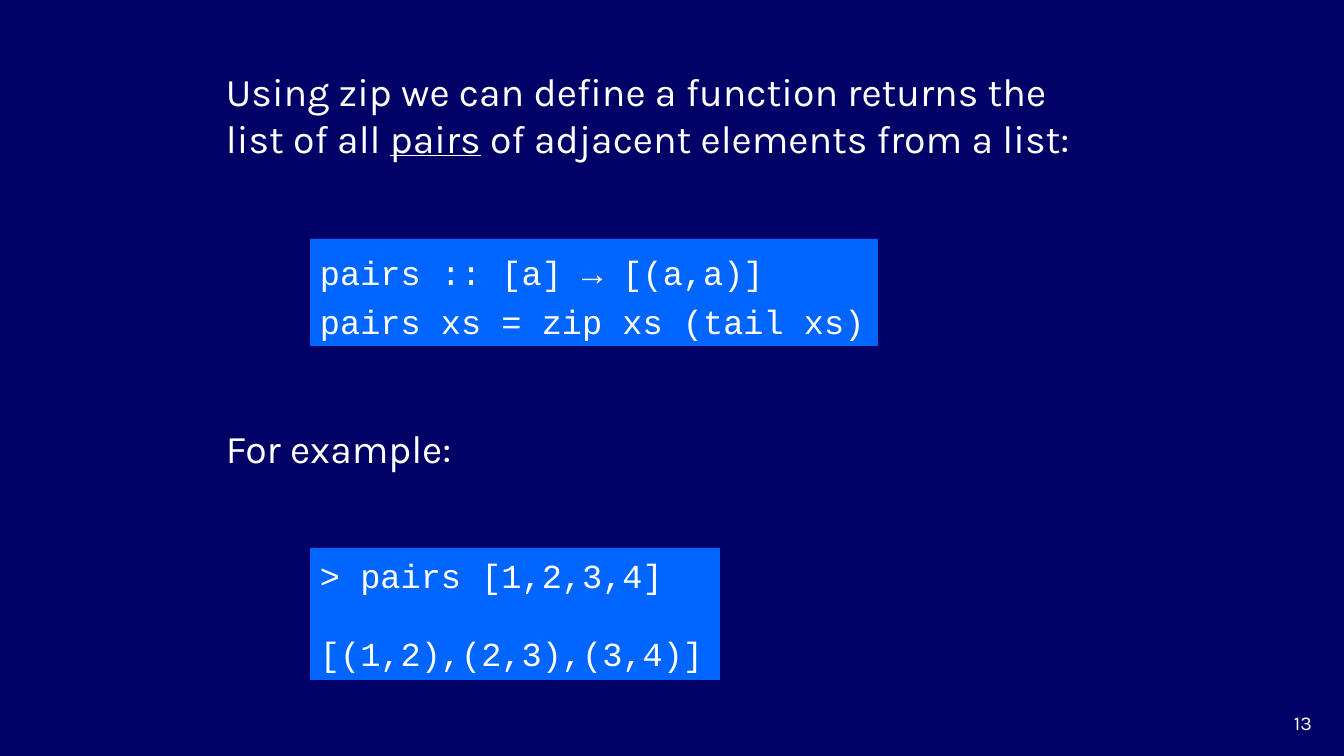
from pptx import Presentation
from pptx.dml.color import RGBColor
from pptx.enum.shapes import MSO_SHAPE
from pptx.enum.text import MSO_ANCHOR, MSO_AUTO_SIZE, PP_ALIGN
from pptx.util import Pt

RECT = MSO_SHAPE.RECTANGLE
MIDDLE, TOP = MSO_ANCHOR.MIDDLE, MSO_ANCHOR.TOP
GROW, NO_GROW = MSO_AUTO_SIZE.SHAPE_TO_FIT_TEXT, MSO_AUTO_SIZE.NONE
LEFT, RIGHT = PP_ALIGN.LEFT, PP_ALIGN.RIGHT

# Content: each paragraph is a list of (text, underlined) runs
INTRO = [[("Using zip we can define a function returns the list of all ", False),
          ("pairs", True),
          (" of adjacent elements from a list:", False)]]
EXAMPLE = [[("For example:", False)]]
PAGE = [[("13", False)]]
DEFINITION = [[("pairs :: [a] → [(a,a)]", False)],
              [("pairs xs = zip xs (tail xs)", False)]]
SESSION = [[("> pairs [1,2,3,4]", False)],
           [("[(1,2),(2,3),(3,4)]", False)]]

NAVY, BLUE, WHITE = "000066", "0066FF", "FFFFFF"

# Formats for the text frame, the paragraphs and the font
BODY = (dict(vertical_anchor=MIDDLE, word_wrap=True, auto_size=GROW),
        dict(alignment=LEFT), dict(name="Karla", size=Pt(28)))
NUMBER = (dict(vertical_anchor=TOP, word_wrap=True, auto_size=NO_GROW),
          dict(alignment=RIGHT), dict(name="Karla", size=Pt(14)))
CODE_FRAME = dict(vertical_anchor=MIDDLE, word_wrap=False, auto_size=GROW)
CODE_FONT = dict(name="Courier New", size=Pt(24))
CODE = (CODE_FRAME, dict(alignment=LEFT, line_spacing=1.2), CODE_FONT)
OUTPUT = (CODE_FRAME, dict(alignment=LEFT), CODE_FONT)

# Left, top, width, height in px; fill; format; gap between paragraphs in pt
PARTS = [
    (PAGE, (1232, 706, 90, 33), None, NUMBER, 0),
    (INTRO, (216, 62, 900, 104), None, BODY, 0),
    (EXAMPLE, (216, 419, 915, 57), None, BODY, 0),
    (DEFINITION, (310, 239, 568, 107), BLUE, CODE, 0),
    (SESSION, (310, 548, 410, 132), BLUE, OUTPUT, 27),
]


def px(n):
    return round(n * 914400 / 100.8)


def color(hex_value):
    return RGBColor.from_string(hex_value)


def set_all(obj, values):
    for name, value in values.items():
        setattr(obj, name, value)


def add_part(s, paragraphs, box, fill, style, gap):
    box = [px(n) for n in box]
    if fill:
        sp = s.shapes.add_shape(RECT, *box)
        sp.shadow.inherit = False
        sp.fill.solid()
        sp.fill.fore_color.rgb = color(fill)
        sp.line.fill.background()
    else:
        sp = s.shapes.add_textbox(*box)
    frame_format, paragraph_format, font_format = style
    tf = sp.text_frame
    set_all(tf, frame_format)
    for i, runs in enumerate(paragraphs):
        p = tf.add_paragraph() if i else tf.paragraphs[0]
        set_all(p, paragraph_format)
        if i and gap:
            p.space_before = Pt(gap)
        for text, underlined in runs:
            r = p.add_run()
            r.text = text
            set_all(r.font, font_format)
            r.font.color.rgb = color(WHITE)
            if underlined:
                r.font.underline = True


def main():
    prs = Presentation()
    prs.slide_width, prs.slide_height = px(1344), px(756)
    s = prs.slides.add_slide(prs.slide_layouts[6])
    s.background.fill.solid()
    s.background.fill.fore_color.rgb = color(NAVY)
    for part in PARTS:
        add_part(s, *part)
    prs.save("out.pptx")


if __name__ == "__main__":
    main()
